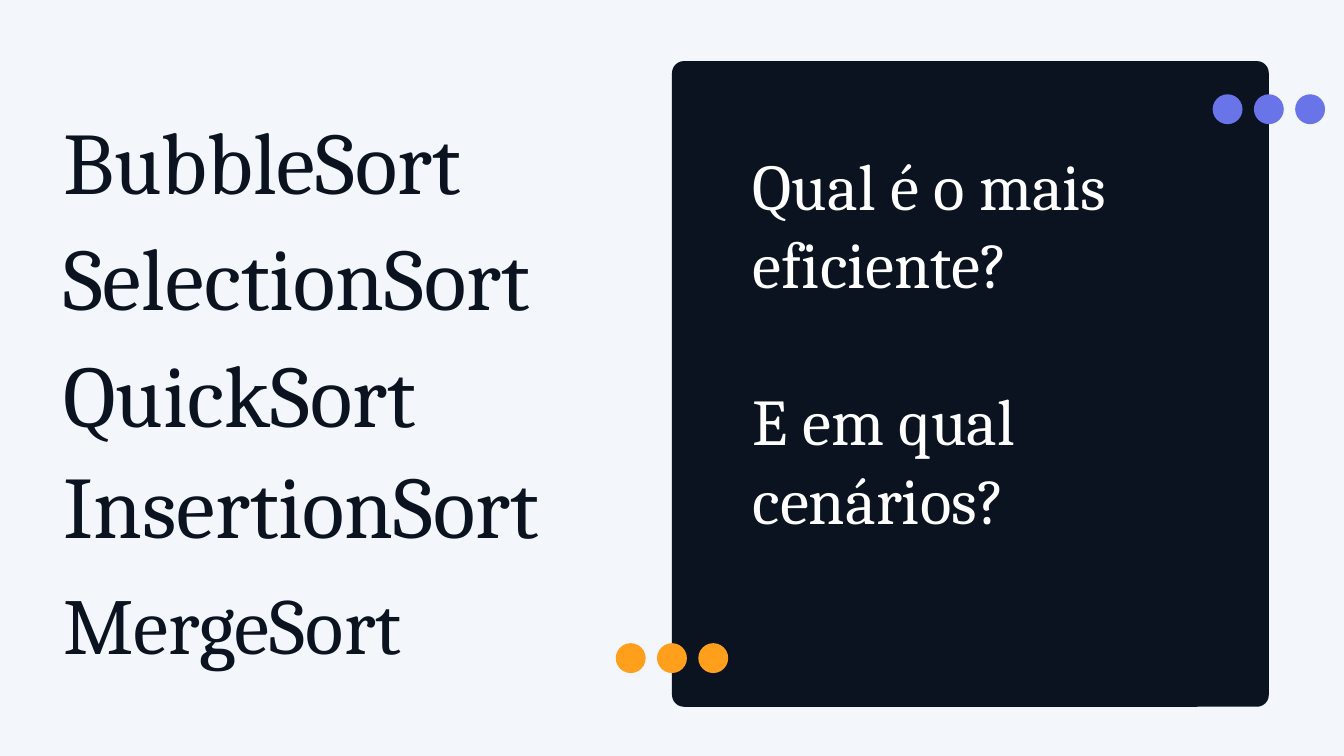
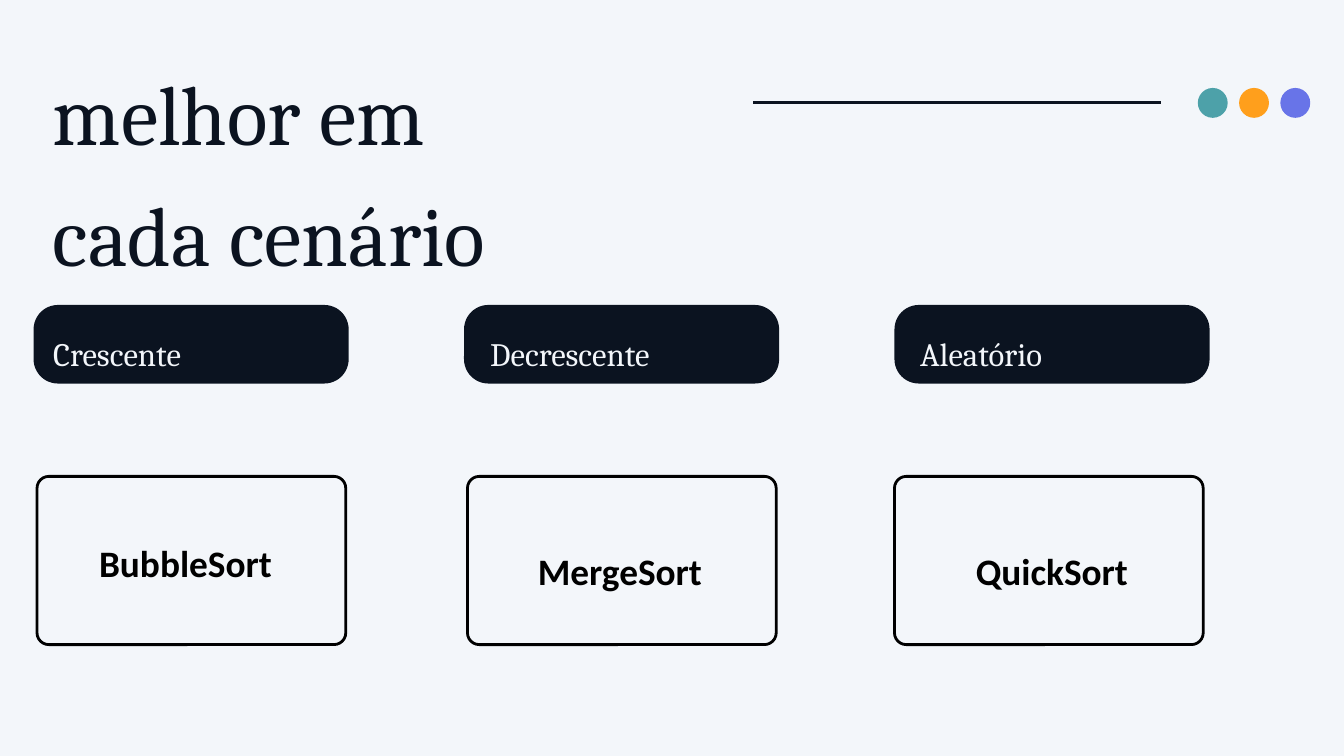
from lxml import etree
from pptx import Presentation
from pptx.dml.color import RGBColor
from pptx.enum.shapes import MSO_CONNECTOR, MSO_SHAPE
from pptx.enum.text import MSO_ANCHOR, PP_ALIGN
from pptx.oxml.ns import qn
from pptx.util import Cm, Pt

OVAL, ROUNDED = MSO_SHAPE.OVAL, MSO_SHAPE.ROUNDED_RECTANGLE
STRAIGHT = MSO_CONNECTOR.STRAIGHT
TOP, MIDDLE = MSO_ANCHOR.TOP, MSO_ANCHOR.MIDDLE
LEFT, CENTER = PP_ALIGN.LEFT, PP_ALIGN.CENTER

COLORS = {
    "paper": "F3F6FA", "ink": "0B1320", "white": "FFFFFF", "black": "000000",
    "violet": "6874E8", "orange": "FF9F1C", "teal": "4DA1A9",
}
SERIF, SANS = "Cambria", "Calibri"
DOT, DOT_STEP = 1.13, 1.56
COLUMN_STEP = 16.27


def rgb(name):
    return RGBColor.from_string(COLORS[name])


def new_slide(prs):
    s = prs.slides.add_slide(prs.slide_layouts[6])
    s.background.fill.solid()
    s.background.fill.fore_color.rgb = rgb("paper")
    return s


def add_text(s, box, lines, size, color="ink", font=SERIF, bold=False, align=LEFT,
             anchor=TOP, spacing=None, gap=0, inset=0):
    tf = s.shapes.add_textbox(*map(Cm, box)).text_frame
    tf.word_wrap = True
    tf.vertical_anchor = anchor
    tf.margin_left = tf.margin_right = tf.margin_top = tf.margin_bottom = Cm(inset)
    for i, line in enumerate(lines):
        p = tf.add_paragraph() if i else tf.paragraphs[0]
        p.alignment = align
        p.line_spacing = spacing
        if i and gap:
            p.space_before = Pt(gap)
        r = p.add_run()
        r.text = line
        r.font.size, r.font.name, r.font.bold = Pt(size), font, bold
        r.font.color.rgb = rgb(color)
    return tf


def add_box(s, kind, box, fill=None, line=None, radius=None):
    sp = s.shapes.add_shape(kind, *map(Cm, box))
    sp.shadow.inherit = False
    if radius is not None:
        sp.adjustments[0] = radius
    if fill:
        sp.fill.solid()
        sp.fill.fore_color.rgb = rgb(fill)
    else:
        sp.fill.background()
    if line:
        sp.line.color.rgb = rgb(line)
        sp.line.width = Pt(3)
    else:
        sp.line.fill.background()
    return sp


def add_dots(s, cx, cy, colors):
    """Three dots in a row, the middle one centred on (cx, cy)."""
    for i, color in enumerate(colors):
        x = cx + (i - 1) * DOT_STEP - DOT / 2
        add_box(s, OVAL, (x, cy - DOT / 2, DOT, DOT), fill=color)


def add_rule(s, x1, x2, y):
    c = s.shapes.add_connector(STRAIGHT, Cm(x1), Cm(y), Cm(x2), Cm(y))
    c.line.color.rgb = rgb("ink")
    c.line.width = Pt(3)
    etree.SubElement(c._element.spPr, qn("a:effectLst"))


def question_panel(s, box):
    x, y, w, h = box
    add_box(s, ROUNDED, box, fill="ink", radius=0.02)
    add_text(s, (x + 3.05, y + 3.18, 18.2, 19.3),
             ["Qual é o mais eficiente?", "E em qual cenários?"],
             70, color="white", gap=84)
    add_dots(s, x + w, y + 1.82, ["violet"] * 3)
    add_dots(s, x, y + h - 1.84, ["orange"] * 3)


def algorithm_list(s, x, y):
    for i, name in enumerate(["BubbleSort", "SelectionSort", "QuickSort"]):
        add_text(s, (x, y + i * 4.41, 22, 4.01), [name], 94, spacing=1.2)
    tf = add_text(s, (x, y + 13.03, 22, 12.3), ["InsertionSort", "MergeSort"],
                  94, spacing=1.2)
    tf.paragraphs[1].runs[0].font.size = Pt(85)


def scenario_column(s, x, y, case, case_dx, winner, winner_dx, winner_dy, frame_dx):
    # Scenario heading
    add_box(s, ROUNDED, (x, y, 11.91, 2.97), fill="ink", radius=0.31)
    add_text(s, (x + case_dx, y + 0.64, 9.8, 1.5), [case], 35,
             color="paper", spacing=1.3)
    # Best algorithm
    add_box(s, ROUNDED, (x + frame_dx, y + 6.48, 11.67, 6.36),
            line="black", radius=0.07)
    add_text(s, (x + winner_dx, y + winner_dy, 9.3, 4.67), [winner], 40,
             color="black", font=SANS, bold=True, align=CENTER, anchor=MIDDLE,
             spacing=1.48, inset=0.15)


def question_slide(prs):
    s = new_slide(prs)
    question_panel(s, (25.4, 2.31, 22.56, 24.41))
    algorithm_list(s, 2.39, 3.23)


def scenario_slide(prs):
    s = new_slide(prs)
    # Title, rule and dots
    add_text(s, (2, 1.55, 26.06, 8.46), ["melhor em", "cada cenário"], 90, spacing=1.2)
    add_rule(s, 28.47, 43.87, 3.89)
    add_dots(s, 47.4, 3.89, ["teal", "orange", "violet"])
    # Scenarios
    columns = [
        ("Crescente", 0.74, "BubbleSort", 1.09, 7.01, 0.13),
        ("Decrescente", 0.99, "MergeSort", 1.24, 7.31, 0.13),
        ("Aleatório", 0.97, "QuickSort", 1.3, 7.31, 0),
    ]
    for i, column in enumerate(columns):
        scenario_column(s, 1.27 + i * COLUMN_STEP, 11.53, *column)


def main():
    prs = Presentation()
    prs.slide_width, prs.slide_height = Cm(50.8), Cm(28.58)
    question_slide(prs)
    scenario_slide(prs)
    prs.save("out.pptx")


if __name__ == "__main__":
    main()
